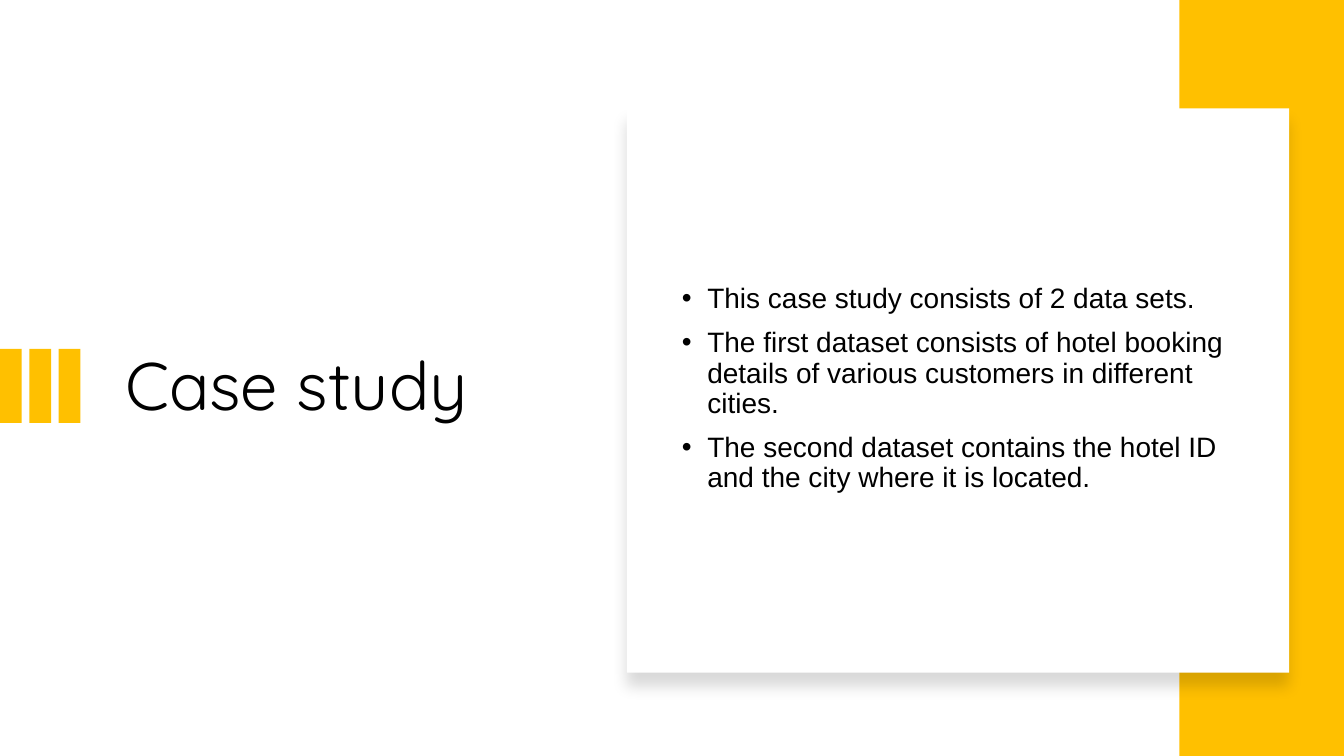
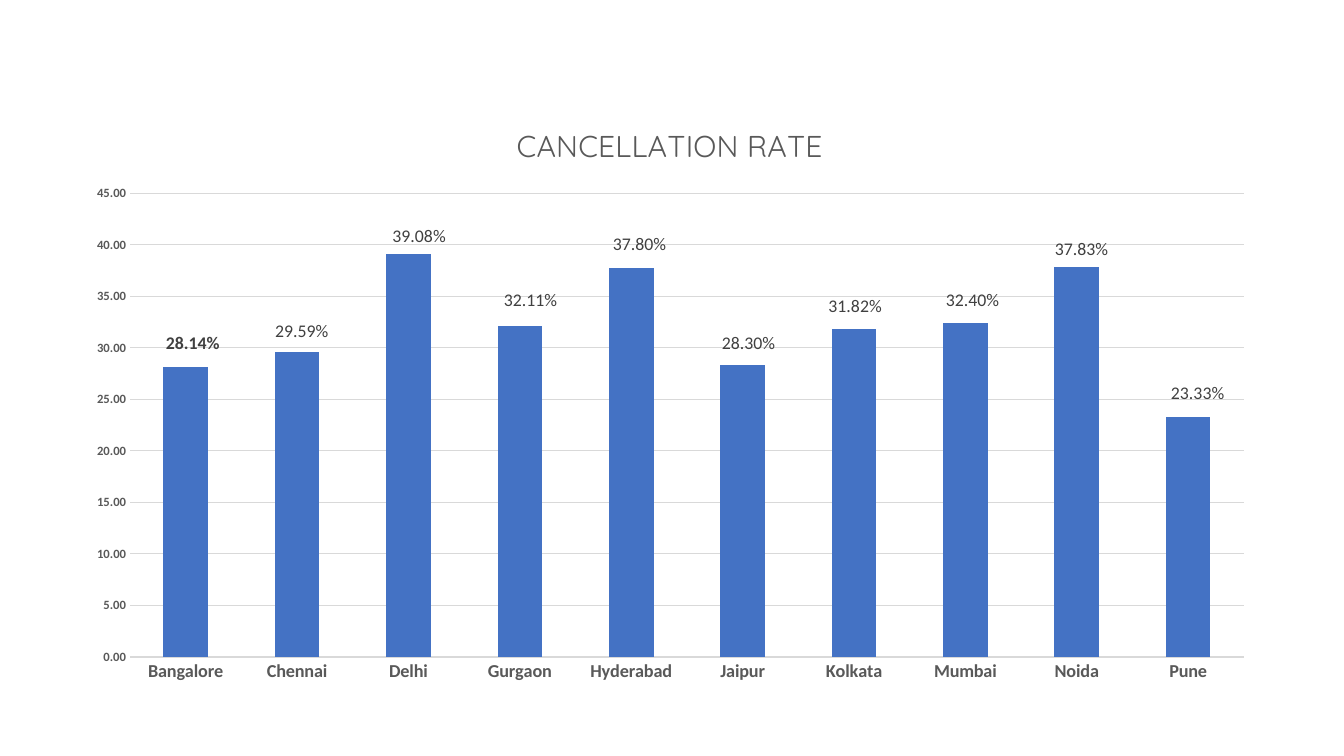
from lxml.etree import SubElement
from pptx import Presentation
from pptx.chart.data import CategoryChartData
from pptx.dml.color import RGBColor
from pptx.enum.chart import XL_CHART_TYPE, XL_LABEL_POSITION, XL_TICK_MARK
from pptx.enum.shapes import MSO_SHAPE
from pptx.enum.text import MSO_ANCHOR, MSO_AUTO_SIZE, PP_ALIGN
from pptx.oxml.ns import qn
from pptx.util import Cm, Pt

COLORS = {
    "ink": "000000",
    "paper": "FFFFFF",
    "accent": "FFC000",
    "column": "4472C4",
    "axis": "595959",
    "label": "404040",
    "grid": "D9D9D9",
}
FORMATS = {
    "title": {"name": "Quicksand", "size": Pt(48), "bold": False, "color": "ink"},
    "body": {"name": "Arial", "size": Pt(20), "bold": False, "color": "ink"},
    "chart": {"name": "Calibri", "size": Pt(10), "bold": False, "color": "ink"},
    "chart title": {"name": "Quicksand", "size": Pt(21.5), "bold": False, "color": "axis"},
    "city": {"name": "Calibri", "size": Pt(13), "bold": True, "color": "axis"},
    "scale": {"name": "Calibri", "size": Pt(9), "bold": True, "color": "axis"},
    "rate": {"name": "Calibri", "size": Pt(12.7), "bold": False, "color": "label"},
}
SLIDE_SIZE = (33.87, 19.05)

STUDY_TITLE = "Case study"
STUDY_POINTS = [
    "This case study consists of 2 data sets.",
    "The first dataset consists of hotel booking details of various customers in different cities.",
    "The second dataset contains the hotel ID and the city where it is located.",
]
TITLE_BOX = (2.9, 3.71, 10.82, 12.17)
POINTS_BOX = (16.93, 3.72, 14.61, 12.17)
PANEL_BOX = (15.8, 2.73, 16.69, 14.22)
BAND_BOX = (29.72, 0, 4.15, 19.05)
STRIPE_BOX = (0, 8.79, 0.55, 1.87)
STRIPE_COUNT, STRIPE_PITCH = 3, 0.74

CHART_TITLE = "CANCELLATION RATE"
CHART_BOX = (1.83, 2.54, 30.12, 14.96)
RATES = [
    ("Bangalore", 28.14, (0.6, -1.4)),
    ("Chennai", 29.59, (0.4, -0.9)),
    ("Delhi", 39.08, (0.9, -0.4)),
    ("Gurgaon", 32.11, (0.9, -1.7)),
    ("Hyderabad", 37.8, (0.7, -1.4)),
    ("Jaipur", 28.3, (0.5, -1.2)),
    ("Kolkata", 31.82, (0.1, -1.2)),
    ("Mumbai", 32.4, (0.6, -1.2)),
    ("Noida", 37.83, (0.4, -0.4)),
    ("Pune", 23.33, (0.8, -1.4)),
]


def color(name):
    return RGBColor.from_string(COLORS[name])


def set_font(font, style):
    for key, value in FORMATS[style].items():
        if key == "color":
            font.color.rgb = color(value)
        else:
            setattr(font, key, value)


def lengths(box):
    return [Cm(value) for value in box]


def place(shape, box):
    for key, value in zip(("left", "top", "width", "height"), lengths(box)):
        setattr(shape, key, value)


def add_block(shapes, box, fill):
    block = shapes.add_shape(MSO_SHAPE.RECTANGLE, *lengths(box))
    block.shadow.inherit = False
    block.fill.solid()
    block.fill.fore_color.rgb = color(fill)
    block.line.fill.background()
    return block


def add_shadow(block):
    effects = block.element.spPr.find(qn("a:effectLst"))
    shadow = SubElement(effects, qn("a:outerShdw"), blurRad=str(Pt(11)),
                        dist=str(Pt(10)), dir="5400000", algn="t", rotWithShape="0")
    tint = SubElement(shadow, qn("a:srgbClr"), val=COLORS["ink"])
    SubElement(tint, qn("a:alpha"), val="15000")


def add_bullet(para):
    properties = para._p.get_or_add_pPr()
    properties.set("marL", str(Cm(0.64)))
    properties.set("indent", str(-Cm(0.64)))
    SubElement(properties, qn("a:buFont"), typeface="Arial")
    SubElement(properties, qn("a:buChar"), char="•")


def fill_placeholder(holder, box, lines, style, bulleted=False):
    place(holder, box)
    frame = holder.text_frame
    settings = {"word_wrap": True, "auto_size": MSO_AUTO_SIZE.NONE,
                "vertical_anchor": MSO_ANCHOR.MIDDLE}
    for key, value in settings.items():
        setattr(frame, key, value)
    for index, line in enumerate(lines):
        para = frame.add_paragraph() if index else frame.paragraphs[0]
        if bulleted:
            add_bullet(para)
        para.alignment = PP_ALIGN.LEFT
        para.line_spacing = 0.9
        para.space_before = Pt(10 if index else 0)
        span = para.add_run()
        span.text = line
        set_font(span.font, style)


def set_layout(parent, after, **fractions):
    for old in parent.findall(qn("c:layout")):
        parent.remove(old)
    layout = SubElement(parent, qn("c:layout"))
    manual = SubElement(layout, qn("c:manualLayout"))
    if "w" in fractions:
        SubElement(manual, qn("c:layoutTarget"), val="inner")
    if after != "c:idx":
        for mode in ("xMode", "yMode"):
            SubElement(manual, qn(f"c:{mode}"), val="edge")
    for key, value in fractions.items():
        SubElement(manual, qn(f"c:{key}"), val=f"{value:.3f}")
    if after:
        parent.find(qn(after)).addnext(layout)
    else:
        parent.insert(0, layout)


def build_study(deck):
    page = deck.slides.add_slide(deck.slide_layouts[1])
    title, points = page.placeholders
    fill_placeholder(title, TITLE_BOX, [STUDY_TITLE], "title")
    stripes = page.shapes.add_group_shape()
    left, top, width, height = STRIPE_BOX
    for index in range(STRIPE_COUNT):
        add_block(stripes.shapes, (left + index * STRIPE_PITCH, top, width, height), "accent")
    add_block(page.shapes, BAND_BOX, "accent")
    add_shadow(add_block(page.shapes, PANEL_BOX, "paper"))
    fill_placeholder(points, POINTS_BOX, STUDY_POINTS, "body", bulleted=True)
    page.shapes.element.append(points.element)


def format_axes(chart):
    for axis, style in ((chart.category_axis, "city"), (chart.value_axis, "scale")):
        axis.major_tick_mark = axis.minor_tick_mark = XL_TICK_MARK.NONE
        axis.format.line.fill.background()
        set_font(axis.tick_labels.font, style)
    scale = chart.value_axis
    settings = {"minimum_scale": 0, "maximum_scale": 45, "major_unit": 5,
                "has_major_gridlines": True}
    for key, value in settings.items():
        setattr(scale, key, value)
    scale.tick_labels.number_format = "0.00"
    scale.tick_labels.number_format_is_linked = False
    scale.major_gridlines.format.line.color.rgb = color("grid")
    scale.major_gridlines.format.line.width = Pt(0.75)


def label_columns(series):
    labels = series.data_labels
    labels.show_value = True
    labels.number_format = "0.00"
    labels.number_format_is_linked = False
    for leader in labels._element.findall(qn("c:showLeaderLines")):
        leader.set("val", "0")
    for index, (city, rate, (across, down)) in enumerate(RATES):
        label = series.points[index].data_label
        span = label.text_frame.paragraphs[0].add_run()
        span.text = f"{rate:.2f}%"
        set_font(span.font, "rate")
        span.font.bold = index == 0
        label.position = XL_LABEL_POSITION.OUTSIDE_END
        element = labels._element.findall(qn("c:dLbl"))[index]
        set_layout(element, "c:idx", x=across / 100, y=down / 100)


def build_rates(deck):
    page = deck.slides.add_slide(deck.slide_layouts[6])
    data = CategoryChartData(number_format="0.00")
    data.categories = [city for city, rate, shift in RATES]
    data.add_series("Series 1", [rate for city, rate, shift in RATES])
    chart = page.shapes.add_chart(
        XL_CHART_TYPE.COLUMN_CLUSTERED, *lengths(CHART_BOX), data).chart
    set_font(chart.font, "chart")
    chart.has_legend = False
    chart.has_title = True
    heading = chart.chart_title.text_frame.paragraphs[0].add_run()
    heading.text = CHART_TITLE
    set_font(heading.font, "chart title")
    set_layout(chart.chart_title._element, "c:tx", x=0.367, y=0.029)
    plot = chart.plots[0]
    plot.gap_width = 150
    plot.vary_by_categories = False
    set_layout(plot._element.getparent(), None, x=0.048, y=0.156, w=0.932, h=0.781)
    format_axes(chart)
    series = plot.series[0]
    series.format.fill.solid()
    series.format.fill.fore_color.rgb = color("column")
    label_columns(series)


def main():
    deck = Presentation()
    deck.slide_width, deck.slide_height = lengths(SLIDE_SIZE)
    build_study(deck)
    build_rates(deck)
    deck.save("out.pptx")


if __name__ == "__main__":
    main()
